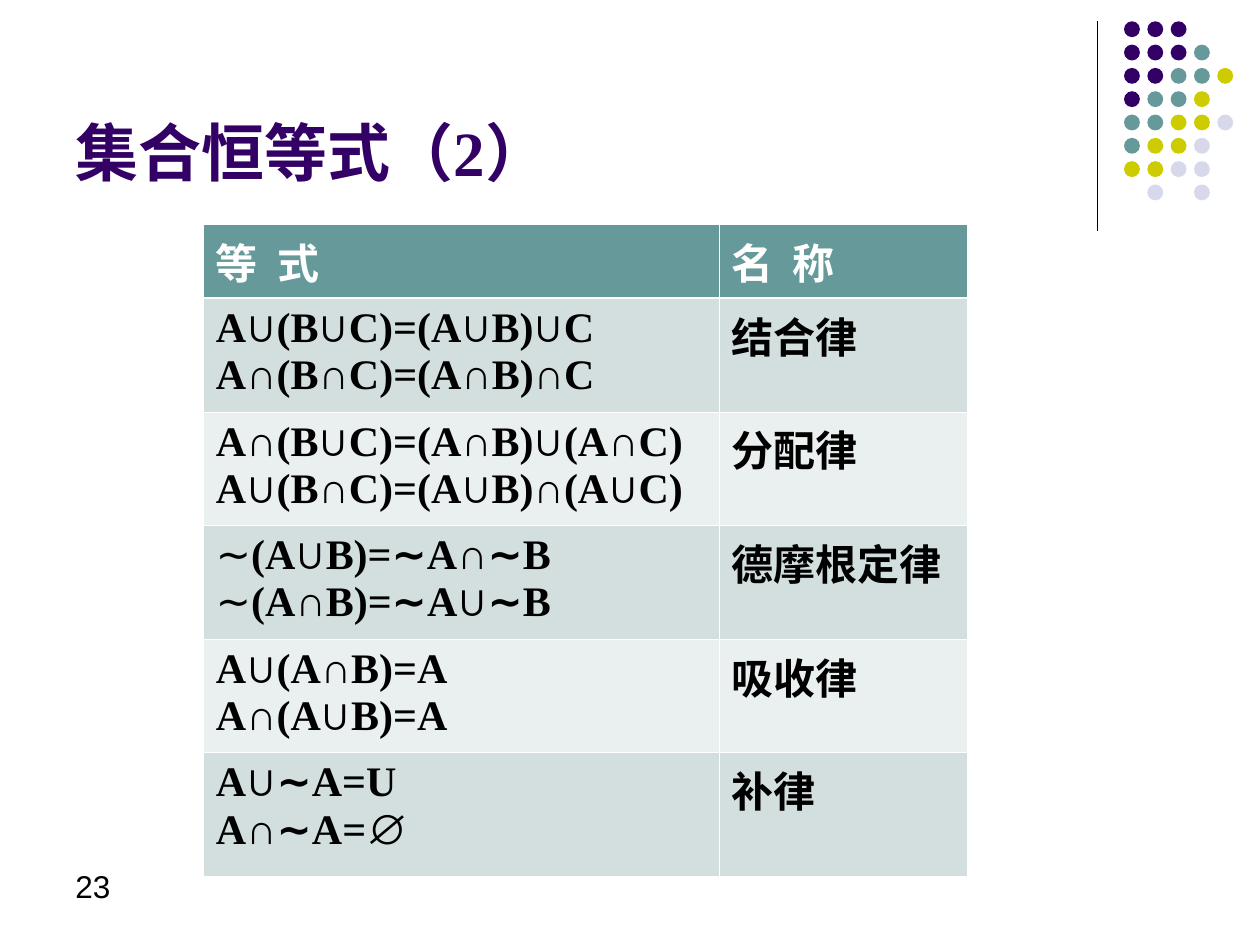
from itertools import groupby

from lxml import etree
from pptx import Presentation
from pptx.dml.color import RGBColor
from pptx.enum import shapes, text
from pptx.oxml import ns
from pptx.util import Cm, Pt

PURPLE = RGBColor(0x33, 0x00, 0x66)
TEAL = RGBColor(0x66, 0x99, 0x99)
OLIVE = RGBColor(0xCC, 0xCC, 0x00)
LAVENDER = RGBColor(0xD8, 0xD8, 0xEC)
DARK_BAND = RGBColor(0xD3, 0xDE, 0xDE)
LIGHT_BAND = RGBColor(0xEA, 0xEF, 0xEF)
BLACK = RGBColor(0, 0, 0)
WHITE = RGBColor(255, 255, 255)

DOT_COLOURS = {"P": PURPLE, "T": TEAL, "Y": OLIVE, "L": LAVENDER}
DOT_ROWS = ["PPP", "PPPT", "PPTTY", "PTTY", "TTYYL", "TYYL", "YYLL", " L L"]
SET_SYMBOLS = "∪∩∼∅"
IDENTITIES = [
    ("等  式", "名  称"),
    ("A∪(B∪C)=(A∪B)∪C\nA∩(B∩C)=(A∩B)∩C", "结合律"),
    ("A∩(B∪C)=(A∩B)∪(A∩C)\nA∪(B∩C)=(A∪B)∩(A∪C)", "分配律"),
    ("∼(A∪B)=∼A∩∼B\n∼(A∩B)=∼A∪∼B", "德摩根定律"),
    ("A∪(A∩B)=A\nA∩(A∪B)=A", "吸收律"),
    ("A∪∼A=U\nA∩∼A=∅", "补律"),
]


class SlideBuilder:
    """Holds the style and the current slide, with a method per element."""

    serif = "Times New Roman"
    sans = "Arial"

    def __init__(self, slide):
        self.slide = slide

    def format(self, paragraph, name, size, colour, bold=False):
        paragraph.alignment = text.PP_ALIGN.LEFT
        font = paragraph.font
        font.name, font.size, font.bold = name, Pt(size), bold
        font.color.rgb = colour

    def title(self, wording, left, top, width, height):
        title = self.slide.shapes.title
        title.left, title.top, title.width, title.height = left, top, width, height
        frame = title.text_frame
        frame.text = wording
        frame.auto_size = text.MSO_AUTO_SIZE.NONE
        frame.vertical_anchor = text.MSO_ANCHOR.BOTTOM
        self.format(frame.paragraphs[0], self.serif, 36, PURPLE, True)

    def rule(self, x, top, bottom):
        rule = self.slide.shapes.add_connector(
            shapes.MSO_CONNECTOR.STRAIGHT, x, top, x, bottom)
        rule.line.color.rgb = BLACK
        rule.line.width = Pt(0.75)
        etree.SubElement(rule._element.spPr, ns.qn("a:effectLst"))

    def dots(self, left, top, pitch, size):
        group = self.slide.shapes.add_group_shape()
        for row, codes in enumerate(DOT_ROWS):
            for column, code in enumerate(codes):
                if code in DOT_COLOURS:
                    dot = group.shapes.add_shape(
                        shapes.MSO_SHAPE.OVAL, left + column * pitch,
                        top + row * pitch, size, size)
                    dot.shadow.inherit = False
                    dot.fill.solid()
                    dot.fill.fore_color.rgb = DOT_COLOURS[code]
                    dot.line.fill.background()

    def tilde_bullet(self, paragraph):
        properties = paragraph._p.get_or_add_pPr()
        properties.set("marL", "0")
        properties.set("indent", "0")
        colour = etree.SubElement(properties, ns.qn("a:buClr"))
        etree.SubElement(colour, ns.qn("a:srgbClr"), val=str(BLACK))
        etree.SubElement(properties, ns.qn("a:buFont"), typeface=self.sans)
        etree.SubElement(properties, ns.qn("a:buChar"), char="∼")

    def formula(self, paragraph, wording, colour):
        if wording.startswith("∼"):
            self.tilde_bullet(paragraph)
            wording = wording[1:]
        for is_symbol, letters in groupby(wording, lambda c: c in SET_SYMBOLS):
            run = paragraph.add_run()
            run.text = "".join(letters)
            if is_symbol:
                run.font.name = self.sans
        self.format(paragraph, self.serif, 24, colour, True)

    def borders(self, cell, row):
        heavy_side = {0: "lnB", 1: "lnT"}.get(row)
        properties = cell._tc.get_or_add_tcPr()
        for side in ("lnL", "lnR", "lnT", "lnB"):
            width = Pt(1.47 if side == heavy_side else 0.45)
            line = etree.SubElement(properties, ns.qn("a:" + side), w=str(width))
            fill = etree.SubElement(line, ns.qn("a:solidFill"))
            etree.SubElement(fill, ns.qn("a:srgbClr"), val=str(WHITE))

    def table(self, rows, left, top, widths, heights):
        table = self.slide.shapes.add_table(
            len(rows), len(widths), left, top, sum(widths), sum(heights)).table
        for column, width in zip(table.columns, widths):
            column.width = width
        for index, (row, height) in enumerate(zip(rows, heights)):
            table.rows[index].height = height
            band = DARK_BAND if index % 2 else LIGHT_BAND
            for column, wording in enumerate(row):
                cell = table.cell(index, column)
                self.borders(cell, index)
                cell.fill.solid()
                cell.fill.fore_color.rgb = band if index else TEAL
                frame = cell.text_frame
                for number, line in enumerate(wording.split("\n")):
                    paragraph = frame.add_paragraph() if number else frame.paragraphs[0]
                    self.formula(paragraph, line, BLACK if index else WHITE)

    def page_number(self, number, left, top, width, height):
        frame = self.slide.shapes.add_textbox(left, top, width, height).text_frame
        frame.word_wrap = True
        frame.text = number
        self.format(frame.paragraphs[0], self.sans, 18, BLACK)


def main():
    deck = Presentation()
    deck.slide_width, deck.slide_height = Cm(25.4), Cm(19.05)
    builder = SlideBuilder(deck.slides.add_slide(deck.slide_layouts[5]))
    builder.rule(Cm(22.12), Cm(0.43), Cm(4.65))
    builder.dots(Cm(22.66), Cm(0.43), Cm(0.47), Cm(0.32))
    builder.title("集合恒等式（2）", Cm(1.27), Cm(0.33), Cm(20.96), Cm(3.6))
    builder.table(IDENTITIES, Cm(4.1), Cm(4.53), [Cm(10.4), Cm(5)],
                  [Cm(1.48)] + [Cm(2.29)] * 4 + [Cm(2.49)])
    builder.page_number("23", Cm(1.27), Cm(17.35), Cm(5.92), Cm(1.27))
    deck.save("out.pptx")


if __name__ == "__main__":
    main()
